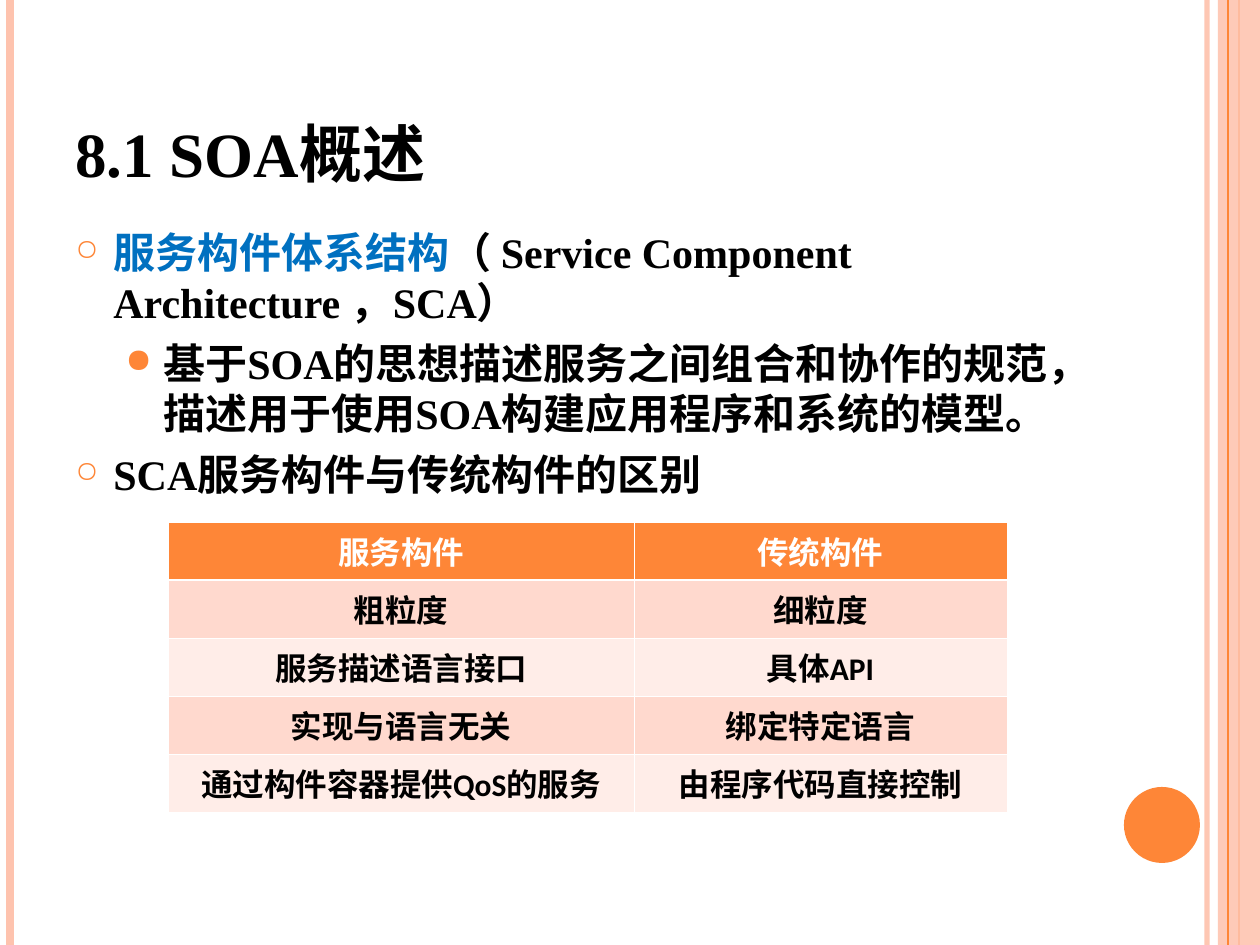
from dataclasses import dataclass

from lxml import etree
from pptx import Presentation
from pptx import util as u
from pptx.dml import color
from pptx.enum import shapes, text
from pptx.oxml import ns


@dataclass(frozen=True)
class Theme:
    orange: str = "FE8637"
    peach: str = "FEC3AE"
    band_dark: str = "FFD9CE"
    band_light: str = "FFEDE8"
    blue: str = "0070C0"
    black: str = "000000"
    white: str = "FFFFFF"
    serif: str = "Times New Roman"
    sans: str = "Calibri"
    title_size: int = 36
    body_size: int = 24
    table_size: int = 18


THEME = Theme()
PX_PER_INCH = 126
SLIDE_W, SLIDE_H = 1260, 945


def px(length):
    return u.Emu(round(length * 914400 / PX_PER_INCH))


def rgb(value):
    return color.RGBColor.from_string(value)


def add_xml(parent, tag, **attributes):
    return etree.SubElement(parent, ns.qn(tag), attributes)


def set_alpha(fill_parent, percent):
    swatch = next(fill_parent.iter(ns.qn("a:srgbClr")))
    add_xml(swatch, "a:alpha", val=str(percent * 1000))


def write(paragraph, content, *, size, font=THEME.serif, ink=THEME.black, bold=True):
    run = paragraph.add_run()
    run.text = content
    run.font.size = u.Pt(size)
    run.font.name = font
    run.font.bold = bold
    run.font.color.rgb = rgb(ink)


def add_bullet(paragraph, mark, scale, margin, hang):
    props = paragraph._p.get_or_add_pPr()
    props.set("marL", str(px(margin)))
    props.set("indent", str(-px(hang)))
    add_xml(add_xml(props, "a:buClr"), "a:srgbClr", val=THEME.orange)
    add_xml(props, "a:buSzPct", val=str(scale * 1000))
    add_xml(props, "a:buChar", char=mark)


def add_text_area(slide, box, anchor):
    frame = slide.shapes.add_textbox(*map(px, box)).text_frame
    frame.word_wrap = True
    frame.vertical_anchor = anchor
    return frame


def add_stripe(slide, x, top, height, ink, width, opacity=100):
    stripe = slide.shapes.add_connector(
        shapes.MSO_CONNECTOR.STRAIGHT, px(x), px(top), px(x), px(top + height))
    stripe.line.color.rgb = rgb(ink)
    stripe.line.width = u.Pt(width)
    if opacity < 100:
        set_alpha(stripe._element.spPr, opacity)
    add_xml(stripe._element.spPr, "a:effectLst")


def add_solid(slide, preset, box, ink, opacity=100):
    solid = slide.shapes.add_shape(preset, *map(px, box))
    solid.shadow.inherit = False
    solid.fill.solid()
    solid.fill.fore_color.rgb = rgb(ink)
    solid.line.fill.background()
    if opacity < 100:
        set_alpha(solid._element.spPr, opacity)


def draw_frame(slide, box):
    left, top, width, height = box
    right = left + width
    add_stripe(slide, right - 53, top, height, THEME.peach, 3, 93)
    add_stripe(slide, left + 10, top, height, THEME.peach, 4.5)
    add_stripe(slide, right - 21, top, height, THEME.orange, 1.5)
    add_solid(slide, shapes.MSO_SHAPE.RECTANGLE,
              (right - 42, top, 42, height), THEME.peach, 87)
    add_stripe(slide, right - 32, top, height, THEME.orange, 0.75)
    add_solid(slide, shapes.MSO_SHAPE.OVAL,
              (right - 136, top + height - 158, 76, 76), THEME.orange)


def draw_title(slide, box):
    title = add_text_area(slide, box, text.MSO_ANCHOR.BOTTOM)
    write(title.paragraphs[0], "8.1 SOA概述", size=THEME.title_size)


def draw_points(slide, box):
    points = [
        (0, [("服务构件体系结构", THEME.blue),
             ("（ Service Component Architecture ，SCA）", THEME.black)]),
        (1, [("基于SOA的思想描述服务之间组合和协作的规范，"
              "描述用于使用SOA构建应用程序和系统的模型。", THEME.black)]),
        (0, [("SCA服务构件与传统构件的区别", THEME.black)]),
    ]
    bullets = [("○", 70, 38, 38), ("●", 80, 88, 38)]
    frame = add_text_area(slide, box, text.MSO_ANCHOR.TOP)
    for index, (level, parts) in enumerate(points):
        point = frame.add_paragraph() if index else frame.paragraphs[0]
        point.level = level
        point.space_before = u.Pt(6 if index else 0)
        add_bullet(point, *bullets[level])
        for content, ink in parts:
            write(point, content, size=THEME.body_size, ink=ink)


def set_borders(cell, top, bottom):
    props = cell._tc.get_or_add_tcPr()
    widths = {"a:lnL": 0.45, "a:lnR": 0.45, "a:lnT": top, "a:lnB": bottom}
    for tag, width in widths.items():
        edge = add_xml(props, tag, w=str(u.Pt(width)))
        add_xml(add_xml(edge, "a:solidFill"), "a:srgbClr", val=THEME.white)


def draw_comparison(slide, box):
    rows = [
        ("服务构件", "传统构件"),
        ("粗粒度", "细粒度"),
        ("服务描述语言接口", "具体API"),
        ("实现与语言无关", "绑定特定语言"),
        ("通过构件容器提供QoS的服务", "由程序代码直接控制"),
    ]
    left, top, width, height = box
    service_width = 466
    table = slide.shapes.add_table(len(rows), 2, *map(px, box)).table
    table.horz_banding = False
    for column, column_width in zip(table.columns, (service_width, width - service_width)):
        column.width = px(column_width)
    for index, labels in enumerate(rows):
        table.rows[index].height = px(height / len(rows))
        header = index == 0
        band = THEME.band_dark if index % 2 else THEME.band_light
        for position, label in enumerate(labels):
            cell = table.cell(index, position)
            set_borders(cell, 1.47 if index == 1 else 0.45, 1.47 if header else 0.45)
            cell.fill.solid()
            cell.fill.fore_color.rgb = rgb(THEME.orange if header else band)
            paragraph = cell.text_frame.paragraphs[0]
            paragraph.alignment = text.PP_ALIGN.CENTER
            write(paragraph, label, size=THEME.table_size, font=THEME.sans,
                  ink=THEME.white if header else THEME.black)


def main():
    deck = Presentation()
    deck.slide_width, deck.slide_height = px(SLIDE_W), px(SLIDE_H)
    slide = deck.slides.add_slide(deck.slide_layouts[6])
    draw_frame(slide, (0, 0, SLIDE_W, SLIDE_H))
    draw_title(slide, (63, 38, 1029, 158))
    draw_points(slide, (63, 220, 1063, 672))
    draw_comparison(slide, (168, 522, 839, 290))
    deck.save("out.pptx")


if __name__ == "__main__":
    main()
